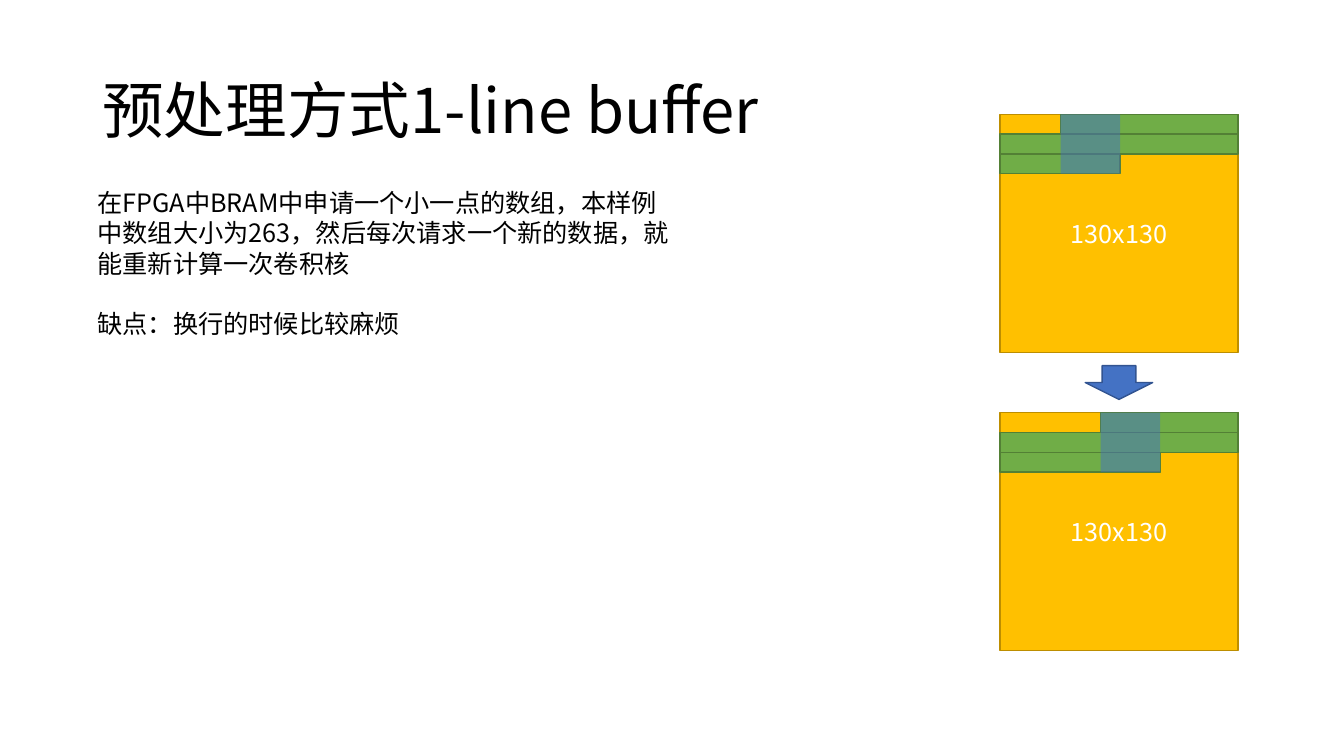
import pptx
import pptx.util
import pptx.dml.color
import pptx.enum.shapes
import pptx.enum.text
import pptx.oxml
import pptx.oxml.ns
from pptx.util import Cm, Pt

FONT = "Noto Sans CJK SC"
SHAPES = pptx.enum.shapes.MSO_SHAPE
ANCHOR = pptx.enum.text.MSO_ANCHOR
ALIGN = pptx.enum.text.PP_ALIGN
CELL = 0.5
WINDOW = 3 * CELL
SIDE = 6


def color(value):
    return pptx.dml.color.RGBColor.from_string(value)


def add_run(p, text, size, ink):
    r = p.add_run()
    r.text = text
    r.font.name = FONT
    r.font.size = Pt(size)
    r.font.color.rgb = color(ink)
    ea = pptx.oxml.parse_xml(
        f'<a:ea {pptx.oxml.ns.nsdecls("a")} typeface="{FONT}"/>')
    r.font._element.append(ea)


def add_box(s, kind, left, top, width, height, fill, line=None, alpha=None):
    sp = s.shapes.add_shape(kind, Cm(left), Cm(top), Cm(width), Cm(height))
    sp.shadow.inherit = False
    sp.fill.solid()
    sp.fill.fore_color.rgb = color(fill)
    if line:
        sp.line.color.rgb = color(line)
        sp.line.width = Pt(1)
    else:
        sp.line.fill.background()
    if alpha:
        srgb = sp._element.spPr.find(".//" + pptx.oxml.ns.qn("a:srgbClr"))
        srgb.append(pptx.oxml.parse_xml(
            f'<a:alpha {pptx.oxml.ns.nsdecls("a")} val="{alpha * 1000}"/>'))
    return sp


def add_text_frame(s, left, top, width, height, anchor):
    tf = s.shapes.add_textbox(Cm(left), Cm(top), Cm(width), Cm(height)).text_frame
    tf.word_wrap = True
    tf.vertical_anchor = anchor
    return tf


def add_title(s, left, top, width, height):
    tf = add_text_frame(s, left, top, width, height, ANCHOR.MIDDLE)
    p = tf.paragraphs[0]
    p.line_spacing = 0.9
    add_run(p, "预处理方式1-line buffer", 44, "000000")


def add_description(s, left, top, width, height):
    tf = add_text_frame(s, left, top, width, height, ANCHOR.TOP)
    line_height = Pt(21.6)
    p = tf.paragraphs[0]
    p.line_spacing = line_height
    add_run(p, "在FPGA中BRAM中申请一个小一点的数组，本样例中数组大小为263，"
               "然后每次请求一个新的数据，就能重新计算一次卷积核", 18, "000000")
    p = tf.add_paragraph()
    p.line_spacing = line_height
    p.space_before = line_height
    add_run(p, "缺点：换行的时候比较麻烦", 18, "000000")


def add_buffer_state(s, left, top, offset):
    image = add_box(s, SHAPES.RECTANGLE, left, top, SIDE, SIDE, "FFC000", "BD8E00")
    tf = image.text_frame
    tf.vertical_anchor = ANCHOR.MIDDLE
    p = tf.paragraphs[0]
    p.alignment = ALIGN.CENTER
    add_run(p, "130x130", 18, "FFFFFF")
    buffered = [(offset, SIDE), (0, SIDE), (0, offset + WINDOW)]
    for row, (start, end) in enumerate(buffered):
        add_box(s, SHAPES.RECTANGLE, left + start, top + row * CELL,
                end - start, CELL, "70AD47", "538035")
    add_box(s, SHAPES.RECTANGLE, left + offset, top, WINDOW, WINDOW,
            "4472C4", alpha=50)


def add_diagram(s, left, top, gap):
    step = SIDE + gap
    for i, offset in enumerate((1.53, 2.54)):
        add_buffer_state(s, left, top + i * step, offset)
    width, height = 1.7, 0.85
    add_box(s, SHAPES.DOWN_ARROW, left + (SIDE - width) / 2,
            top + SIDE + (gap - height) / 2, width, height, "4472C4", "325491")


def main():
    prs = pptx.Presentation()
    prs.slide_width = Cm(33.87)
    prs.slide_height = Cm(19.05)
    s = prs.slides.add_slide(prs.slide_layouts[6])
    add_title(s, 2.33, 1.01, 29.21, 3.68)
    add_description(s, 2.21, 4.6, 15.11, 4.11)
    add_diagram(s, 25.2, 2.88, 1.52)
    prs.save("out.pptx")


if __name__ == "__main__":
    main()
